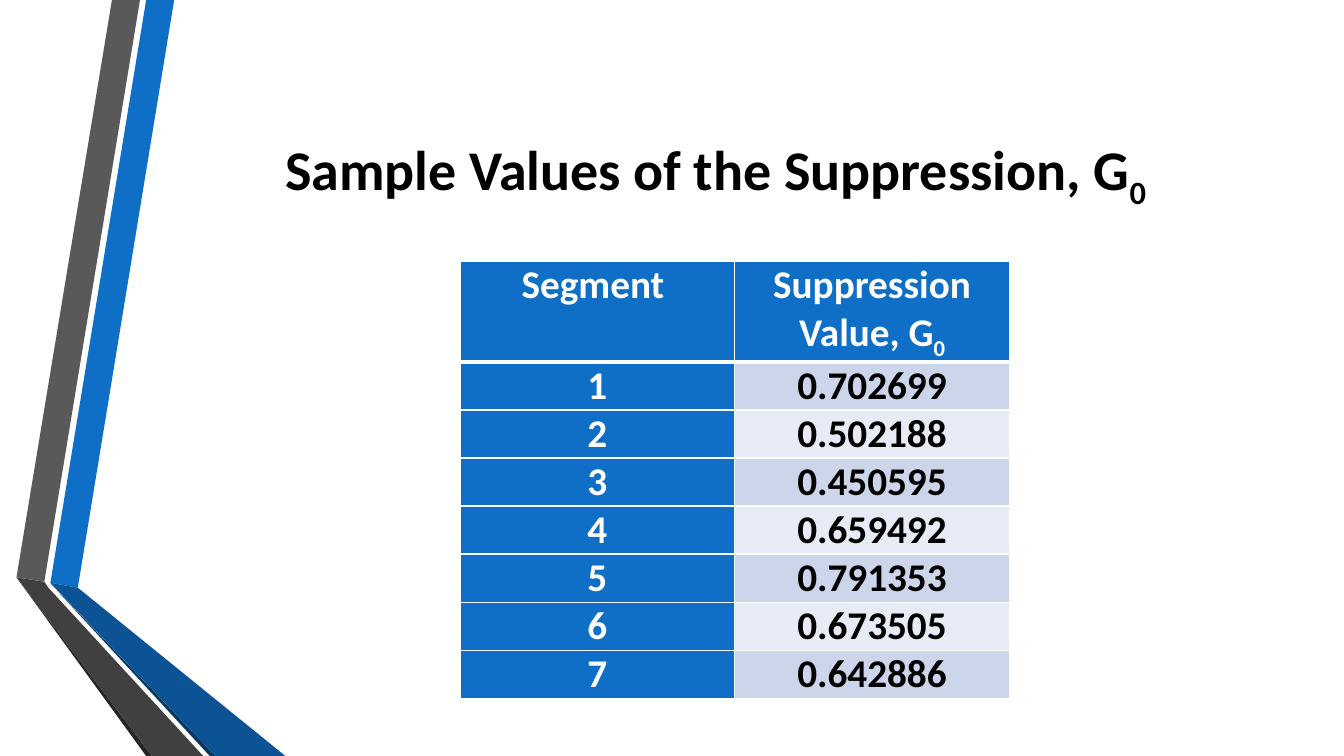
from dataclasses import dataclass

from lxml import etree
from pptx import Presentation
from pptx.dml.color import RGBColor
from pptx.enum.text import MSO_ANCHOR, PP_ALIGN
from pptx.oxml.ns import qn
from pptx.util import Pt

CENTER = PP_ALIGN.CENTER
MIDDLE = MSO_ANCHOR.MIDDLE


@dataclass(frozen=True)
class Theme:
    font: str = "Calibri"
    title_size: int = 40
    table_size: int = 28
    black: str = "000000"
    white: str = "FFFFFF"
    blue: str = "0F6FC6"
    dark_blue: str = "0B5394"
    navy: str = "083763"
    gray: str = "595959"
    dark_gray: str = "404040"
    charcoal: str = "262626"
    bands: tuple = ("CCD5EA", "E7EBF5")


class SlideBuilder:
    """Draws themed elements on one slide, with lengths in points."""

    def __init__(self, slide, theme):
        self.shapes = slide.shapes
        self.theme = theme

    def ribbon(self, points, color):
        corners = [(Pt(x), Pt(y)) for x, y in points]
        builder = self.shapes.build_freeform(*corners[0])
        builder.add_line_segments(corners[1:], close=True)
        shape = builder.convert_to_shape()
        shape.shadow.inherit = False
        shape.fill.solid()
        shape.fill.fore_color.rgb = RGBColor.from_string(color)
        shape.line.fill.background()

    def label(self, paragraph, text, size, color, subscript=""):
        paragraph.alignment = CENTER
        font = paragraph.font
        font.name, font.size, font.bold = self.theme.font, Pt(size), True
        font.color.rgb = RGBColor.from_string(color)
        paragraph.add_run().text = text
        if subscript:
            span = paragraph.add_run()
            span.text = subscript
            span.font._element.set("baseline", "-25000")

    def title(self, left, top, width, height, text, subscript):
        box = self.shapes.add_textbox(Pt(left), Pt(top), Pt(width), Pt(height))
        frame = box.text_frame
        frame.word_wrap = True
        frame.vertical_anchor = MIDDLE
        self.label(frame.paragraphs[0], text, self.theme.title_size, self.theme.black, subscript)

    def borders(self, cell, **widths):
        properties = cell._tc.get_or_add_tcPr()
        for index, side in enumerate("LRTB"):
            line = etree.Element(qn(f"a:ln{side}"), w=str(Pt(widths.get(side, 1))))
            fill = etree.SubElement(line, qn("a:solidFill"))
            etree.SubElement(fill, qn("a:srgbClr"), val=self.theme.white)
            properties.insert(index, line)

    def cell(self, cell, text, fill, color, subscript="", **widths):
        cell.margin_left = cell.margin_right = Pt(5)
        cell.margin_top = cell.margin_bottom = 0
        cell.fill.solid()
        cell.fill.fore_color.rgb = RGBColor.from_string(fill)
        paragraph = cell.text_frame.paragraphs[0]
        paragraph.space_after = Pt(0.3)
        self.label(paragraph, text, self.theme.table_size, color, subscript)
        self.borders(cell, **widths)

    def table(self, left, top, column_width, header_height, row_height, headers, values):
        theme = self.theme
        frame = self.shapes.add_table(
            len(values) + 1, len(headers), Pt(left), Pt(top),
            Pt(column_width * len(headers)), Pt(header_height + row_height * len(values)))
        table = frame.table
        table.first_row = table.horz_banding = False
        for column in table.columns:
            column.width = Pt(column_width)
        for row in table.rows:
            row.height = Pt(row_height)
        table.rows[0].height = Pt(header_height)
        for index, (text, subscript) in enumerate(headers):
            self.cell(table.cell(0, index), text, theme.blue, theme.white, subscript, B=3)
        for segment, value in enumerate(values, 1):
            edge = 3 if segment == 1 else 1
            band = theme.bands[(segment - 1) % 2]
            self.cell(table.cell(segment, 0), str(segment), theme.blue, theme.white, T=edge)
            self.cell(table.cell(segment, 1), value, band, theme.black, T=edge)


def main():
    deck = Presentation()
    deck.slide_width, deck.slide_height = Pt(960), Pt(540)
    theme = Theme()
    page = SlideBuilder(deck.slides.add_slide(deck.slide_layouts[6]), theme)

    ribbons = [
        ([(36, 416.3), (55.6, 419.8), (124.4, 0), (104.4, 0)], theme.blue),
        ([(100, 0), (80, 0), (11.8, 412.4), (31.7, 415.5)], theme.gray),
        ([(11.8, 412.4), (104.4, 540), (108.5, 540)], theme.charcoal),
        ([(36, 416.7), (149.8, 540), (154, 540)], theme.navy),
        ([(36, 416.3), (154, 540), (203.8, 540), (55.6, 419.8)], theme.dark_blue),
        ([(145.2, 540), (34.6, 419.8), (31.7, 415.5), (11.8, 412.4), (108.5, 540)],
         theme.dark_gray),
    ]
    for points, color in ribbons:
        page.ribbon(points, color)

    page.title(116.6, 54, 789.1, 138.2, "Sample Values of the Suppression, G", "0")
    page.table(
        328.6, 186.7, 196.2, 71.6, 34.3,
        [("Segment ", ""), ("Suppression Value, G", "0")],
        ["0.702699", "0.502188", "0.450595", "0.659492", "0.791353", "0.673505", "0.642886"])
    deck.save("out.pptx")


if __name__ == "__main__":
    main()
